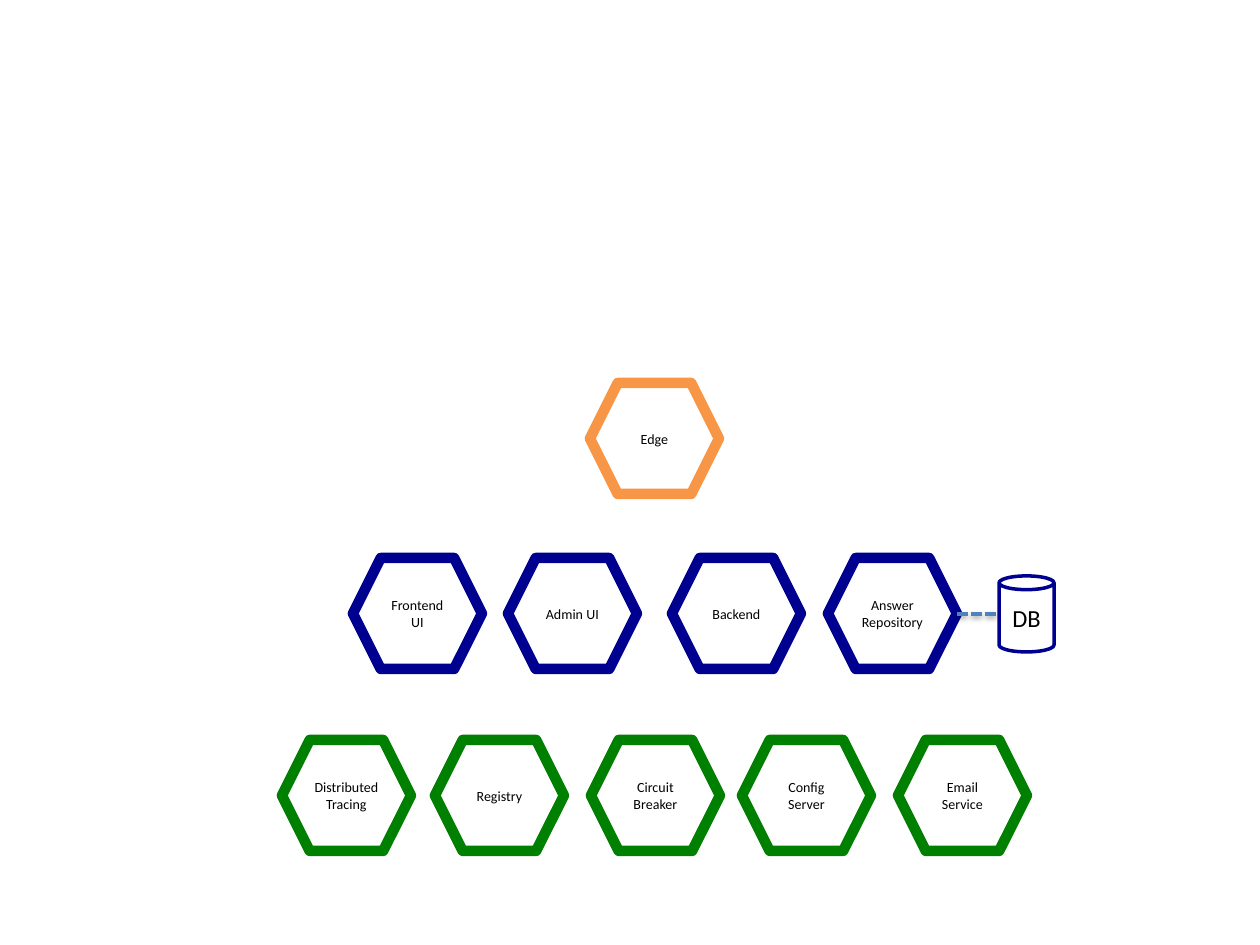
from dataclasses import dataclass

import pptx
import pptx.dml.color
import pptx.enum.dml
import pptx.enum.shapes
import pptx.enum.text
import pptx.oxml
import pptx.oxml.ns
import pptx.util
from pptx.shapes.autoshape import Shape

EMU_PER_PIXEL = 914400 / 126
HEXAGON = pptx.enum.shapes.MSO_SHAPE.HEXAGON
CAN = pptx.enum.shapes.MSO_SHAPE.CAN
SERVICE_WIDTH, SERVICE_HEIGHT = 129, 111
NAVY, GREEN, ORANGE, STEEL = "000090", "008000", "F79646", "4F81BD"


@dataclass(frozen=True)
class Service:
    left: int
    label: str


@dataclass(frozen=True)
class Tier:
    top: int
    color: str
    services: tuple[Service, ...]


TIERS = (
    Tier(740, GREEN, (
        Service(898, "Email Service"),
        Service(742, "Config\nServer"),
        Service(591, "Circuit Breaker"),
        Service(435, "Registry"),
        Service(282, "Distributed Tracing"),
    )),
    Tier(383, ORANGE, (Service(590, "Edge"),)),
    Tier(558, NAVY, (
        Service(353, "Frontend UI"),
        Service(508, "Admin UI"),
        Service(672, "Backend"),
        Service(828, "Answer Repository"),
    )),
)


def px(pixels: int) -> pptx.util.Emu:
    return pptx.util.Emu(round(pixels * EMU_PER_PIXEL))


def rgb(color: str) -> pptx.dml.color.RGBColor:
    return pptx.dml.color.RGBColor.from_string(color)


def add_node(kind: pptx.enum.shapes.MSO_SHAPE, left: int, top: int, width: int,
             height: int, color: str, border: float, label: str, size: float) -> Shape:
    node = slide.shapes.add_shape(kind, px(left), px(top), px(width), px(height))
    node.shadow.inherit = False
    node.fill.solid()
    node.fill.fore_color.rgb = rgb("FFFFFF")
    node.line.color.rgb = rgb(color)
    node.line.width = pptx.util.Pt(border)
    frame = node.text_frame
    frame.word_wrap = True
    frame.vertical_anchor = pptx.enum.text.MSO_ANCHOR.MIDDLE
    for index, text in enumerate(label.split("\n")):
        paragraph = frame.add_paragraph() if index else frame.paragraphs[0]
        paragraph.alignment = pptx.enum.text.PP_ALIGN.CENTER
        run = paragraph.add_run()
        run.text = text
        run.font.name = "Calibri"
        run.font.size = pptx.util.Pt(size)
        run.font.color.rgb = rgb("000000")
    return node


def add_database_link(start: int, end: int, y: int) -> None:
    link = slide.shapes.add_connector(
        pptx.enum.shapes.MSO_CONNECTOR.STRAIGHT, px(start), px(y), px(end), px(y))
    link.line.color.rgb = rgb(STEEL)
    link.line.width = pptx.util.Pt(2)
    link.line.dash_style = pptx.enum.dml.MSO_LINE.SQUARE_DOT
    dash = link.line._ln.find(pptx.oxml.ns.qn("a:prstDash"))
    dash.set("val", "sysDash")
    # Soft shadow straight below the line
    blur, distance = pptx.util.Pt(3.1), pptx.util.Pt(1.6)
    link._element.spPr.append(pptx.oxml.parse_xml(
        f'<a:effectLst {pptx.oxml.ns.nsdecls("a")}>'
        f'<a:outerShdw blurRad="{blur}" dist="{distance}" dir="5400000" rotWithShape="0">'
        '<a:srgbClr val="000000"><a:alpha val="38000"/></a:srgbClr>'
        '</a:outerShdw></a:effectLst>'))


presentation = pptx.Presentation()
presentation.slide_width = px(1260)
presentation.slide_height = px(945)
slide = presentation.slides.add_slide(presentation.slide_layouts[6])

# Service tiers
for tier in TIERS:
    for service in tier.services:
        add_node(HEXAGON, service.left, tier.top, SERVICE_WIDTH, SERVICE_HEIGHT,
                 tier.color, 6, service.label, 8)

# Database and its link to the answer repository
add_node(CAN, 999, 576, 55, 76, NAVY, 2, "DB", 14)
add_database_link(957, 999, 614)

presentation.save("out.pptx")
